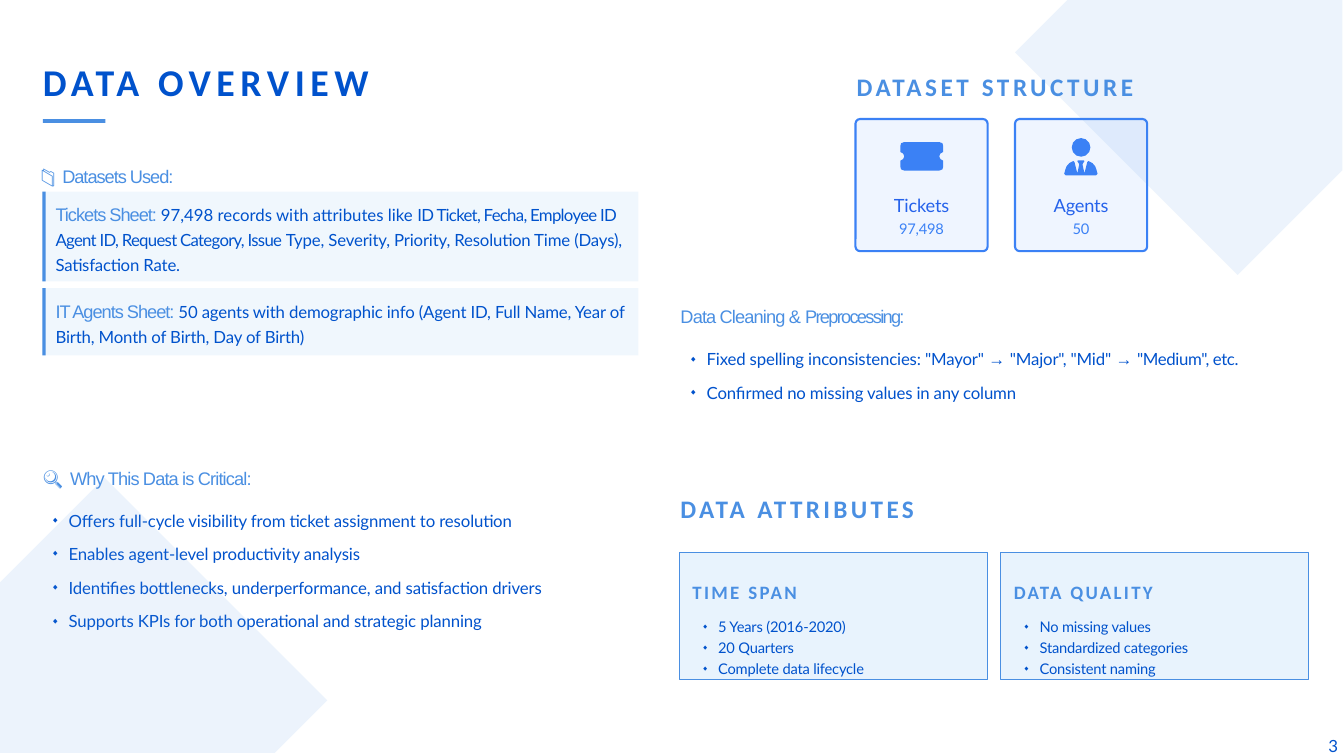
from lxml.etree import SubElement
from pptx import Presentation
from pptx.dml.color import RGBColor
from pptx.enum.shapes import MSO_SHAPE
from pptx.enum.text import MSO_ANCHOR, PP_ALIGN
from pptx.oxml.ns import qn
from pptx.util import Cm, Pt

COLORS = {"deep": "0052CC", "sky": "4A8FE2", "pale": "E3F1FD",
          "tile": "EFF5FF", "icon": "3B81F5", "label": "2562EB"}

# font, size, colour, bold
STYLES = {
    "title": ("Calibri", 27, "deep", True),
    "section": ("Calibri", 18, "sky", True),
    "card": ("Calibri", 13.5, "sky", True),
    "head": ("Arial", 13, "sky", False),
    "emoji": ("Roboto", 14, "sky", False),
    "body": ("Lato", 12, "deep", False),
    "arrow": ("Arial", 12, "deep", False),
    "small": ("Lato", 10.5, "deep", False),
    "label": ("Lato", 13, "label", False),
    "count": ("Lato", 10.5, "icon", False),
}


def rgb(name):
    return RGBColor.from_string(COLORS[name])


def paint(shape, fill, alpha=100, line=None, width=0.75):
    shape.shadow.inherit = False
    shape.fill.solid()
    shape.fill.fore_color.rgb = rgb(fill)
    if alpha < 100:
        color = shape.element.spPr.find(qn("a:solidFill"))[0]
        SubElement(color, qn("a:alpha"), val=str(alpha * 1000))
    if line:
        shape.line.color.rgb = rgb(line)
        shape.line.width = Pt(width)
    else:
        shape.line.fill.background()


def block(slide, kind, x, y, w, h, fill, **look):
    shape = slide.shapes.add_shape(kind, Cm(x), Cm(y), Cm(w), Cm(h))
    paint(shape, fill, **look)
    return shape


def outline(slide, points, fill, alpha=100):
    """Fill a polygon whose points are in hundredths of a centimetre."""
    pen = slide.shapes.build_freeform(*points[0], scale=Cm(0.01))
    pen.add_line_segments(points[1:], close=True)
    paint(pen.convert_to_shape(), fill, alpha)


def mirror(half, x, y):
    """Complete a left half about its axis and move it to x, y."""
    whole = half + [(-dx, dy) for dx, dy in reversed(half)]
    return [(x + dx, y + dy) for dx, dy in whole]


def frame(shape, left=0, top=0, right=0):
    text = shape.text_frame
    text.word_wrap = True
    text.vertical_anchor = MSO_ANCHOR.TOP
    text.margin_left, text.margin_top = Cm(left), Cm(top)
    text.margin_right, text.margin_bottom = Cm(right), 0
    return text


def write(para, pieces, align=PP_ALIGN.LEFT):
    """Add pieces, each a text, a style name and a letter spacing."""
    para.alignment = align
    for text, style, track in pieces:
        run = para.add_run()
        run.text = text
        font = run.font
        font.name, size, color, font.bold = STYLES[style]
        font.size = Pt(size)
        font.color.rgb = rgb(color)
        run._r.get_or_add_rPr().set("spc", str(round(track * 100)))


def label(slide, x, y, w, h, pieces, align=PP_ALIGN.LEFT):
    box = slide.shapes.add_textbox(Cm(x), Cm(y), Cm(w), Cm(h))
    write(frame(box).paragraphs[0], pieces, align)


def bullet(para, left, hang):
    props = para._p.get_or_add_pPr()
    props.set("marL", str(Cm(left)))
    props.set("indent", str(-Cm(hang)))
    SubElement(props, qn("a:buSzPct"), val="50000")
    SubElement(props, qn("a:buFont"), typeface="Arial")
    SubElement(props, qn("a:buChar"), char="◆")


def listing(slide, x, y, w, h, rows):
    box = slide.shapes.add_textbox(Cm(x), Cm(y), Cm(w), Cm(h))
    text = frame(box)
    for i, pieces in enumerate(rows):
        para = text.add_paragraph() if i else text.paragraphs[0]
        bullet(para, 0.44, 0.44)
        if i:
            para.space_before = Pt(9.6)
        write(para, pieces)


def panel(slide, y, h, pieces):
    box = block(slide, MSO_SHAPE.RECTANGLE, 1.07, y, 15.02, h, "pale", alpha=50)
    block(slide, MSO_SHAPE.RECTANGLE, 1.07, y, 0.08, h, "sky")
    para = frame(box, 0.33, 0.18, 0.1).paragraphs[0]
    para.line_spacing = 1.22
    write(para, pieces)


def card(slide, x, head, rows):
    box = block(slide, MSO_SHAPE.RECTANGLE, x, 13.93, 7.76, 3.2, "pale",
                alpha=80, line="sky")
    text = frame(box, 0.33, 0.71)
    write(text.paragraphs[0], [(head, "card", 1.7)])
    for i, row in enumerate(rows):
        para = text.add_paragraph()
        bullet(para, 0.65, 0.42)
        para.space_before = Pt(2.4 if i else 10.1)
        write(para, [(row, "small", -0.1)])


def tile(slide, x, name, count):
    box = block(slide, MSO_SHAPE.ROUNDED_RECTANGLE, x, 3, 3.33, 3.33, "tile",
                line="icon", width=1.5)
    box.adjustments[0] = 0.035
    text = frame(box, top=1.87)
    write(text.paragraphs[0], [(name, "label", -0.1)], PP_ALIGN.CENTER)
    para = text.add_paragraph()
    para.space_before = Pt(2.6)
    write(para, [(count, "count", -0.1)], PP_ALIGN.CENTER)


def icons(slide):
    ticket = [(-44, -36), (-52, -33), (-54, -26), (-54, -11), (-47, -7), (-44, 0),
              (-47, 7), (-54, 11), (-54, 26), (-52, 33), (-44, 36)]
    outline(slide, mirror(ticket, 2323, 394), "icon")
    suit = [(-38, 19), (-42, 15), (-39, 4), (-36, -4), (-29, -12), (-19, -17),
            (-16, -14), (-9, 14), (-4, -9), (-9, -17), (-7, -19)]
    outline(slide, mirror(suit, 2724, 423), "icon")
    block(slide, MSO_SHAPE.OVAL, 27.01, 3.48, 0.47, 0.47, "icon")


def corners(slide):
    right = [(3119, 693), (2558, 132), (2690, 0), (3383, 0), (3383, 429)]
    outline(slide, right, "sky", 10)
    outline(slide, [(3383 - x, 1897 - y) for x, y in right], "sky", 10)


def main():
    deck = Presentation()
    deck.slide_width, deck.slide_height = Cm(33.87), Cm(19.05)
    slide = deck.slides.add_slide(deck.slide_layouts[6])

    label(slide, 20.27, 1.81, 9.62, 0.8,
          [("DATASET STRUCTURE", "section", 2.55)], PP_ALIGN.CENTER)
    label(slide, 1.08, 1.48, 10, 1.2,
          [("DATA ", "title", 3.6), ("OVERVIEW", "title", 4)])
    block(slide, MSO_SHAPE.RECTANGLE, 1.08, 3, 1.58, 0.1, "sky")

    label(slide, 1.04, 4.13, 6, 0.65,
          [("📁 ", "emoji", 0.8), ("Datasets Used:", "head", -0.7)])
    panel(slide, 4.83, 2.26, [
        ("Tickets Sheet: ", "head", -0.7),
        ("97,498 records with attributes like ", "body", 0),
        ("ID Ticket, Fecha, Employee ID Agent ID, Request Category, Issue ",
         "body", -0.5),
        ("Type, Severity, Priority, Resolution Time (Days), Satisfaction Rate.",
         "body", -0.1)])
    panel(slide, 7.26, 1.7, [
        ("IT Agents Sheet: ", "head", -0.7),
        ("50 agents with demographic info (Agent ID, Full Name, Year of Birth, "
         "Month of Birth, Day of Birth)", "body", -0.1)])

    label(slide, 17.15, 7.69, 8, 0.6,
          [("Data Cleaning & ", "head", -0.6), ("Preprocessing:", "head", -1.2)])
    arrow = ("→ ", "arrow", 0)
    listing(slide, 17.37, 8.8, 15, 1.4, [
        [('Fixed spelling inconsistencies: "Mayor" ', "body", -0.1), arrow,
         ('"Major", "Mid" ', "body", -0.1), arrow,
         ('"Medium", etc.', "body", -0.25)],
        [("Confirmed no missing values in any column", "body", -0.1)]])

    label(slide, 1.09, 11.75, 5.3, 1.15,
          [("🔍 ", "emoji", 0.8), ("Why This Data is Critical:", "head", -0.6)])
    reasons = ("Offers full-cycle visibility from ticket assignment to resolution",
               "Enables agent-level productivity analysis",
               "Identifies bottlenecks, underperformance, and satisfaction drivers",
               "Supports KPIs for both operational and strategic planning")
    listing(slide, 1.29, 12.86, 13.5, 3.1,
            [[(reason, "body", -0.08)] for reason in reasons])

    label(slide, 17.15, 12.43, 8, 0.8, [("DATA ATTRIBUTES", "section", 2.4)])
    cards = (("TIME SPAN", ("5 Years (2016-2020)", "20 Quarters",
                            "Complete data lifecycle")),
             ("DATA QUALITY", ("No missing values", "Standardized categories",
                               "Consistent naming")))
    for i, (head, rows) in enumerate(cards):
        card(slide, 17.12 + 8.1 * i, head, rows)
    for i, pair in enumerate((("Tickets", "97,498"), ("Agents", "50"))):
        tile(slide, 21.56 + 4.02 * i, *pair)
    icons(slide)

    label(slide, 33.48, 18.53, 0.35, 0.5, [("3", "body", -0.5)])
    corners(slide)
    deck.save("out.pptx")


if __name__ == "__main__":
    main()
